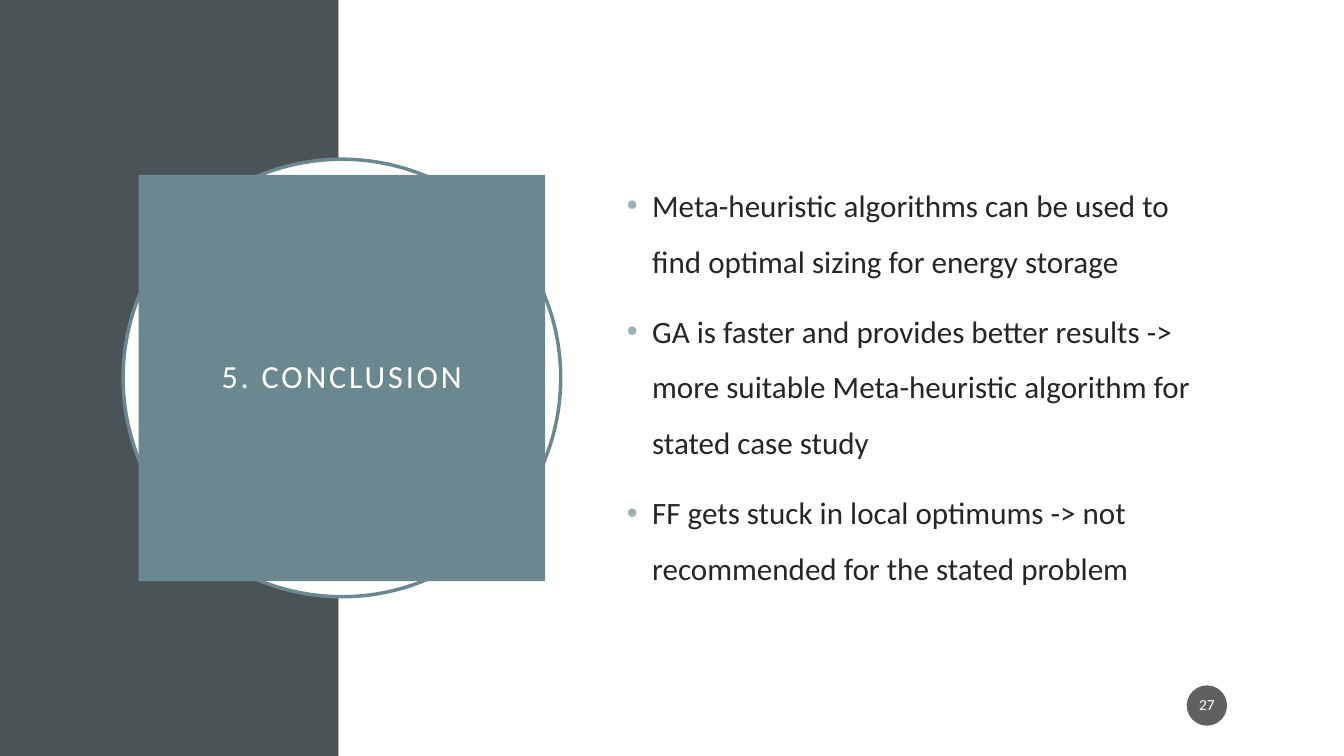
import pptx
import pptx.util
import pptx.dml.color
import pptx.enum.shapes
import pptx.enum.text
import pptx.oxml.ns
from lxml import etree

RGBColor = pptx.dml.color.RGBColor
SLATE = RGBColor(0x4A, 0x53, 0x56)
TEAL = RGBColor(0x6B, 0x88, 0x91)
PALE_TEAL = RGBColor(0x9B, 0xAF, 0xB5)
WHITE = RGBColor(0xFF, 0xFF, 0xFF)
INK = RGBColor(0x26, 0x26, 0x26)
BADGE = RGBColor(0x1D, 0x1D, 0x1D)

FONT = "Calibri"
WIDTH, HEIGHT = pptx.util.Inches(13.33), pptx.util.Inches(7.5)
SIDEBAR = 0.252  # share of the slide's width
EMBLEM_X, EMBLEM_Y = 0.2544, 0.5  # shared centre of ring and title
RING_SIZE, TITLE_SIZE, BADGE_SIZE = 4.34, 4.03, 0.4

HEADING = "5. CONCLUSION"
FINDINGS = [
    "Meta-heuristic algorithms can be used to find optimal sizing for energy storage",
    "GA is faster and provides better results -> more suitable Meta-heuristic "
    "algorithm for stated case study",
    "FF gets stuck in local optimums -> not recommended for the stated problem",
]


def share_box(left, top, width, height):
    """Turn shares of the slide's size into left, top, width and height."""
    return (round(left * WIDTH), round(top * HEIGHT),
            round(width * WIDTH), round(height * HEIGHT))


def centred_square(x, y, inches):
    """Return the box of a square centred at shares x and y of the slide."""
    side = pptx.util.Inches(inches)
    return round(x * WIDTH - side / 2), round(y * HEIGHT - side / 2), side, side


def place(shape, box):
    shape.left, shape.top, shape.width, shape.height = box


def add_panel(slide, preset, box, fill, outline=None):
    panel = slide.shapes.add_shape(preset, *box)
    panel.shadow.inherit = False
    panel.fill.solid()
    panel.fill.fore_color.rgb = fill
    if outline is None:
        panel.line.fill.background()
    else:
        panel.line.color.rgb = outline
        panel.line.width = pptx.util.Pt(2.5)
    return panel


def set_frame(frame, side_inset, end_inset):
    frame.word_wrap = True
    frame.auto_size = pptx.enum.text.MSO_AUTO_SIZE.NONE
    frame.vertical_anchor = pptx.enum.text.MSO_ANCHOR.MIDDLE
    frame.margin_left = frame.margin_right = pptx.util.Inches(side_inset)
    frame.margin_top = frame.margin_bottom = pptx.util.Inches(end_inset)


def style_runs(paragraph, size, colour):
    for run in paragraph.runs:
        run.font.name = FONT
        run.font.size = pptx.util.Pt(size)
        run.font.color.rgb = colour


def write_centred_line(frame, text, size):
    frame.text = text
    line = frame.paragraphs[0]
    line.alignment = pptx.enum.text.PP_ALIGN.CENTER
    line.line_spacing = 0.9
    style_runs(line, size, WHITE)
    return line


def fill_title(title):
    place(title, centred_square(EMBLEM_X, EMBLEM_Y, TITLE_SIZE))
    title.fill.solid()
    title.fill.fore_color.rgb = TEAL
    set_frame(title.text_frame, 0.2, 0.2)
    heading = write_centred_line(title.text_frame, HEADING, 23)
    heading.runs[0].font._element.set("spc", "200")


def add_bullet(paragraph):
    properties = paragraph._p.get_or_add_pPr()
    indent = pptx.util.Inches(0.25)
    properties.set("marL", str(indent))
    properties.set("indent", str(-indent))
    qn = pptx.oxml.ns.qn
    colour = etree.SubElement(properties, qn("a:buClr"))
    etree.SubElement(colour, qn("a:srgbClr"), val=str(PALE_TEAL))
    etree.SubElement(properties, qn("a:buFont"), typeface="Arial")
    etree.SubElement(properties, qn("a:buChar"), char="•")


def fill_findings(body):
    place(body, share_box(0.459, 0.204, 0.4366, 0.59))
    set_frame(body.text_frame, 0.1, 0.05)
    body.text_frame.text = "\n".join(FINDINGS)
    for number, finding in enumerate(body.text_frame.paragraphs):
        add_bullet(finding)
        finding.line_spacing = 1.5
        finding.space_before = pptx.util.Pt(10 if number else 0)
        style_runs(finding, 22.2, INK)


def add_page_badge(slide, number):
    badge = add_panel(slide, pptx.enum.shapes.MSO_SHAPE.OVAL,
                      centred_square(0.898, 0.9333, BADGE_SIZE), BADGE)
    qn = pptx.oxml.ns.qn
    colour = badge._element.spPr.find(qn("a:solidFill")).find(qn("a:srgbClr"))
    etree.SubElement(colour, qn("a:alpha"), val="70000")
    set_frame(badge.text_frame, 0.02, 0.05)
    write_centred_line(badge.text_frame, number, 11).space_after = pptx.util.Pt(6)


def main():
    deck = pptx.Presentation()
    deck.slide_width, deck.slide_height = WIDTH, HEIGHT
    slide = deck.slides.add_slide(deck.slide_layouts[1])
    title, body = slide.placeholders
    shapes = pptx.enum.shapes.MSO_SHAPE

    add_panel(slide, shapes.RECTANGLE, share_box(0, 0, SIDEBAR, 1), SLATE)
    add_panel(slide, shapes.RECTANGLE, share_box(SIDEBAR, 0, 1 - SIDEBAR, 1), WHITE)
    add_panel(slide, shapes.OVAL,
              centred_square(EMBLEM_X, EMBLEM_Y, RING_SIZE), WHITE, TEAL)
    for placeholder in (title, body):  # bring the text in front of the panels
        slide.shapes._spTree.append(placeholder._element)
    fill_title(title)
    fill_findings(body)
    add_page_badge(slide, "27")
    deck.save("out.pptx")


if __name__ == "__main__":
    main()
